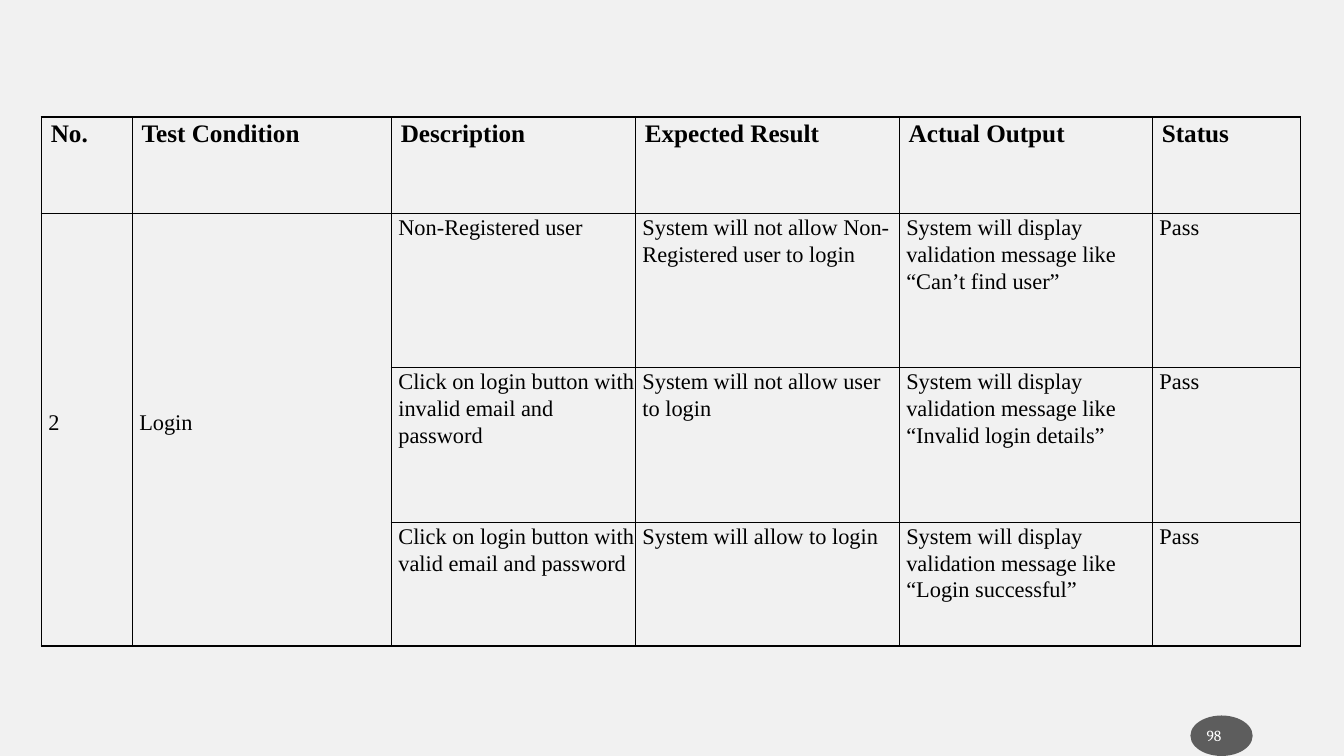
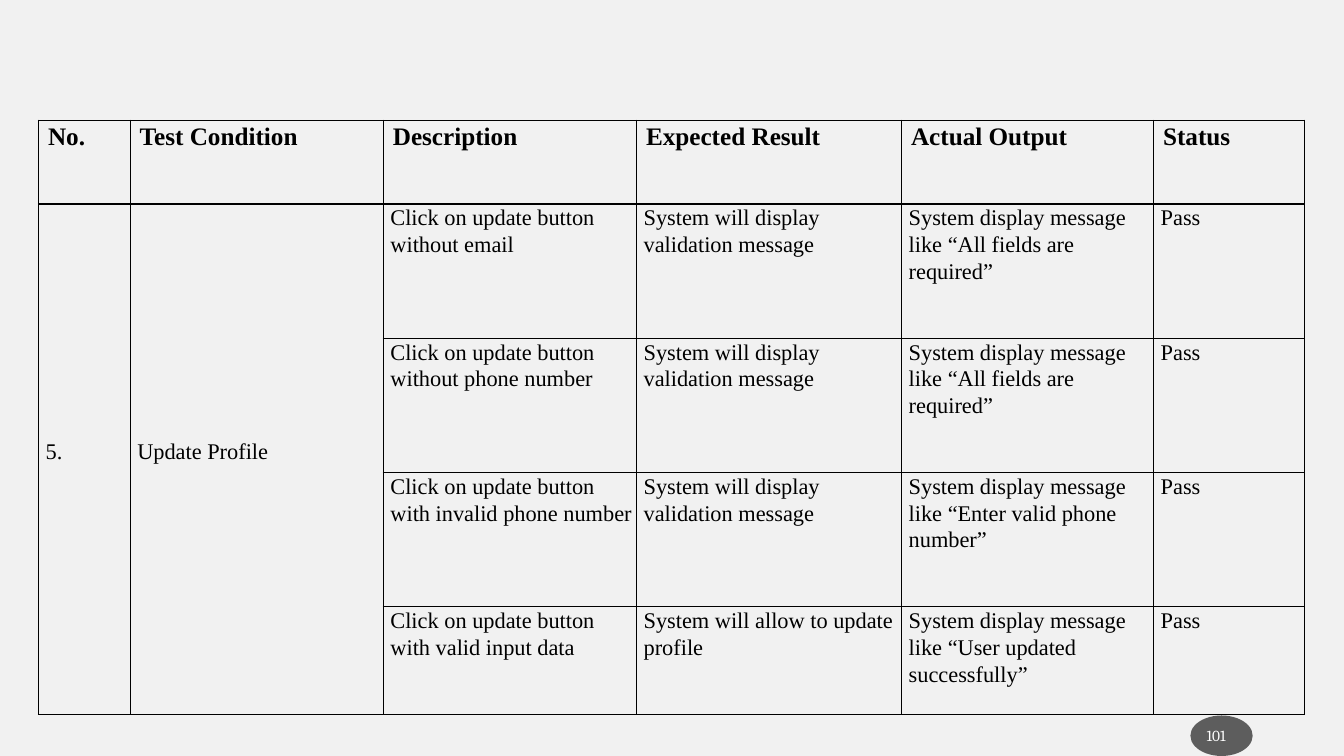
from dataclasses import dataclass

import lxml.etree
import pptx
import pptx.dml.color
import pptx.enum.shapes
import pptx.enum.text
import pptx.oxml.ns
import pptx.presentation
import pptx.slide
import pptx.table
import pptx.util

Cm = pptx.util.Cm
Pt = pptx.util.Pt
RGBColor = pptx.dml.color.RGBColor
MIDDLE = pptx.enum.text.MSO_ANCHOR.MIDDLE

# Shared look
BACKGROUND = RGBColor(0xF1, 0xF1, 0xF1)
BLACK = RGBColor(0x00, 0x00, 0x00)
BADGE = RGBColor(0x1C, 0x1C, 0x1C)
WHITE = RGBColor(0xFF, 0xFF, 0xFF)
BADGE_OPACITY = "69000"
TABLE_FONT = "Times New Roman"
NUMBER_FONT = "Cambria"
HEADINGS = ("No.", "Test Condition", "Description",
            "Expected Result", "Actual Output", "Status")


@dataclass(frozen=True)
class TestCase:
    description: str
    expected: str
    actual: str
    status: str = "Pass"


@dataclass(frozen=True)
class TestSlide:
    page: str
    number: str
    condition: str
    cases: tuple[TestCase, ...]
    left: float
    top: float
    column_widths: tuple[float, ...]
    row_heights: tuple[float, ...]


VALIDATION = "System will display validation message"
ALL_REQUIRED = "System display message like “All fields are required”"

TEST_SLIDES = (
    TestSlide(
        "98", "2", "Login",
        (
            TestCase("Non-Registered user",
                     "System will not allow Non-Registered user to login",
                     "System will display validation message like “Can’t find user”"),
            TestCase("Click on login button with invalid email and password",
                     "System will not allow user to login",
                     "System will display validation message like “Invalid login details”"),
            TestCase("Click on login button with valid email and password",
                     "System will allow to login",
                     "System will display validation message like “Login successful”"),
        ),
        left=1.04, top=2.95,
        column_widths=(2.29, 6.53, 6.15, 6.65, 6.38, 3.73),
        row_heights=(2.43, 3.89, 3.89, 3.12),
    ),
    TestSlide(
        "101", "5.", "Update Profile",
        (
            TestCase("Click on update button without email", VALIDATION, ALL_REQUIRED),
            TestCase("Click on update button without phone number", VALIDATION, ALL_REQUIRED),
            TestCase("Click on update button with invalid phone number", VALIDATION,
                     "System display message like “Enter valid phone number”"),
            TestCase("Click on update button with valid input data",
                     "System will allow to update profile",
                     "System display message like “User updated successfully”"),
        ),
        left=0.97, top=3.03,
        column_widths=(2.31, 6.38, 6.38, 6.68, 6.35, 3.81),
        row_heights=(2.11, 3.38, 3.38, 3.38, 2.72),
    ),
)


def add_borders(cell: pptx.table._Cell) -> None:
    """Give a cell a thin black line on every side."""
    properties = cell._tc.get_or_add_tcPr()
    qn = pptx.oxml.ns.qn
    for side in ("lnL", "lnR", "lnT", "lnB"):
        line = lxml.etree.SubElement(properties, qn(f"a:{side}"), w=str(Pt(1)))
        fill = lxml.etree.SubElement(line, qn("a:solidFill"))
        lxml.etree.SubElement(fill, qn("a:srgbClr"), val=str(BLACK))


def write_cell(cell: pptx.table._Cell, text: str, heading: bool = False) -> None:
    cell.margin_left = Cm(0.24 if heading else 0.18)
    cell.margin_top = Cm(0.08 if heading else 0)
    cell.margin_right = cell.margin_bottom = 0
    cell.text_frame.text = text
    paragraph = cell.text_frame.paragraphs[0]
    if not heading:
        paragraph.line_spacing = Pt(19.2)
    for run in paragraph.runs:
        run.font.name = TABLE_FONT
        run.font.size = Pt(18 if heading else 16)
        run.font.bold = heading
        run.font.color.rgb = BLACK


def add_test_table(slide: pptx.slide.Slide, test: TestSlide) -> None:
    table = slide.shapes.add_table(
        len(test.row_heights), len(HEADINGS), Cm(test.left), Cm(test.top),
        Cm(sum(test.column_widths)), Cm(sum(test.row_heights))).table
    table.first_row = table.horz_banding = False
    for column, width in zip(table.columns, test.column_widths):
        column.width = Cm(width)
    for row, height in zip(table.rows, test.row_heights):
        row.height = Cm(height)
    for cell in table.iter_cells():
        add_borders(cell)
        cell.fill.background()

    # Heading row and one row per case
    for index, heading in enumerate(HEADINGS):
        write_cell(table.cell(0, index), heading, heading=True)
    for row_index, case in enumerate(test.cases, start=1):
        values = (case.description, case.expected, case.actual, case.status)
        for column_index, value in enumerate(values, start=2):
            write_cell(table.cell(row_index, column_index), value)

    # Number and condition span all the cases
    for index, text in enumerate((test.number, test.condition)):
        cell = table.cell(1, index)
        cell.merge(table.cell(len(test.cases), index))
        write_cell(cell, text)
        cell.vertical_anchor = MIDDLE
        cell.margin_bottom = Cm(0.4)


def add_page_badge(slide: pptx.slide.Slide, page: str) -> None:
    badge = slide.shapes.add_shape(
        pptx.enum.shapes.MSO_SHAPE.OVAL, Cm(30), Cm(18.03), Cm(1.57), Cm(1.02))
    badge.shadow.inherit = False
    badge.line.fill.background()
    badge.fill.solid()
    badge.fill.fore_color.rgb = BADGE
    color = badge._element.spPr.find(".//" + pptx.oxml.ns.qn("a:srgbClr"))
    lxml.etree.SubElement(color, pptx.oxml.ns.qn("a:alpha"), val=BADGE_OPACITY)

    frame = badge.text_frame
    frame.margin_left = Cm(0.18)
    frame.margin_right = frame.margin_top = frame.margin_bottom = 0
    frame.vertical_anchor = MIDDLE
    frame.text = page
    paragraph = frame.paragraphs[0]
    paragraph.alignment = pptx.enum.text.PP_ALIGN.LEFT
    font = paragraph.runs[0].font
    font.name = NUMBER_FONT
    font.size = Pt(11)
    font.color.rgb = WHITE


def build_presentation() -> pptx.presentation.Presentation:
    presentation = pptx.Presentation()
    presentation.slide_width = Cm(33.87)
    presentation.slide_height = Cm(19.05)
    background = presentation.slide_master.background.fill
    background.solid()
    background.fore_color.rgb = BACKGROUND
    blank_layout = presentation.slide_layouts[6]
    for test in TEST_SLIDES:
        slide = presentation.slides.add_slide(blank_layout)
        add_page_badge(slide, test.page)
        add_test_table(slide, test)
    return presentation


def main() -> None:
    build_presentation().save("out.pptx")


if __name__ == "__main__":
    main()
